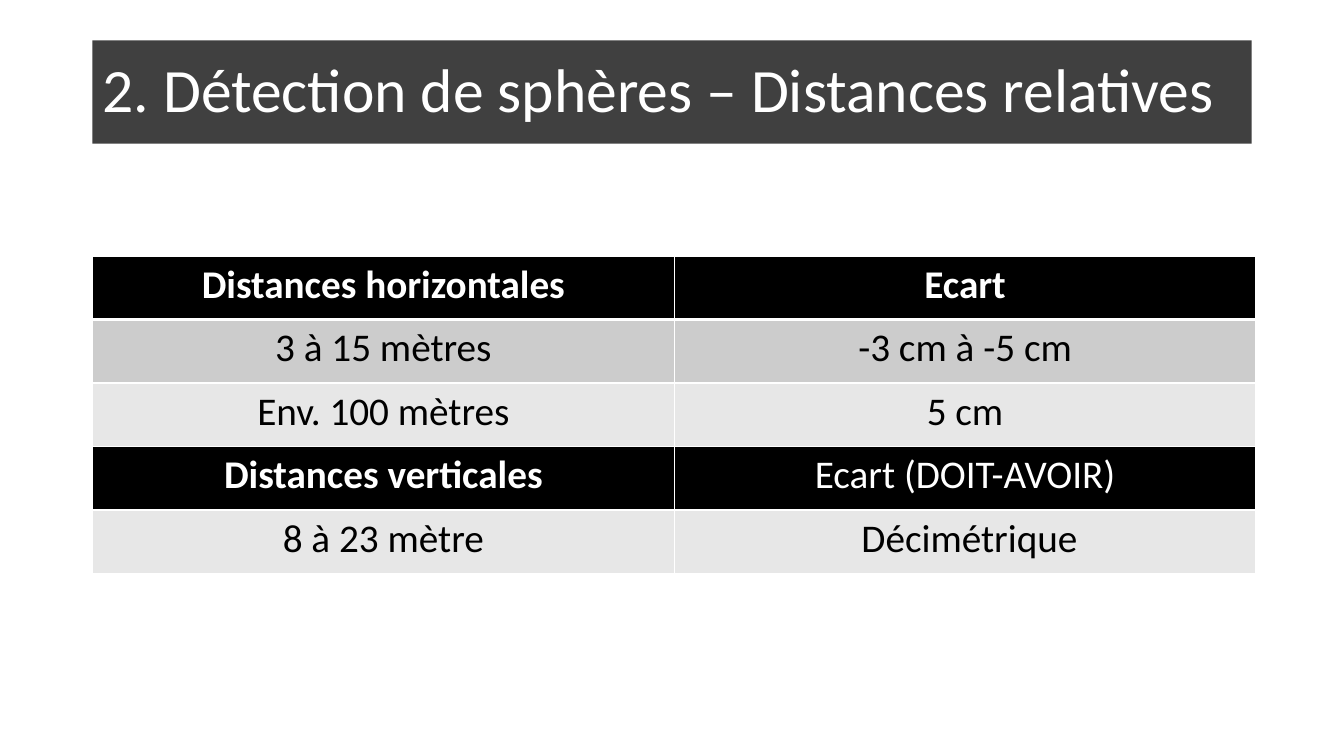
"""Build a slide with a title band and a table of relative distances."""
from dataclasses import dataclass

from lxml import etree
from pptx import Presentation
from pptx import util as u
from pptx.dml import color
from pptx.enum import text
from pptx.oxml import ns


@dataclass(frozen=True)
class Theme:
    font: str = "Calibri"
    white: str = "FFFFFF"
    black: str = "000000"
    band: str = "404040"
    dark: str = "CCCCCC"
    light: str = "E7E7E7"
    title: int = 44
    body: int = 28


theme = Theme()


def style(para, size, tint, bold, align):
    para.alignment = align
    para.font.name = theme.font
    para.font.size = u.Pt(size)
    para.font.bold = bold
    para.font.color.rgb = color.RGBColor.from_string(tint)


def border(cell, side, width):
    props = cell._tc.get_or_add_tcPr()
    line = etree.SubElement(props, ns.qn("a:ln" + side), w=str(u.Pt(width)))
    fill = etree.SubElement(line, ns.qn("a:solidFill"))
    etree.SubElement(fill, ns.qn("a:srgbClr"), val=theme.white)


deck = Presentation()
deck.slide_width, deck.slide_height = u.Cm(33.87), u.Cm(19.05)
slide = deck.slides.add_slide(deck.slide_layouts[5])

title = slide.shapes.title
title.left, title.top = u.Cm(2.33), u.Cm(1.02)
title.width, title.height = u.Cm(29.21), u.Cm(2.6)
title.fill.solid()
title.fill.fore_color.rgb = color.RGBColor.from_string(theme.band)
frame = title.text_frame
frame.text = "2. Détection de sphères – Distances relatives"
frame.word_wrap = True
frame.auto_size = text.MSO_AUTO_SIZE.NONE
frame.vertical_anchor = text.MSO_ANCHOR.MIDDLE
head = frame.paragraphs[0]
style(head, theme.title, theme.white, False, text.PP_ALIGN.LEFT)
head.line_spacing = 0.9

rows = [
    (theme.black, theme.white, ("Distances horizontales", True), ("Ecart", True)),
    (theme.dark, theme.black, ("3 à 15 mètres", False), ("-3 cm à -5 cm", False)),
    (theme.light, theme.black, ("Env. 100 mètres", False), ("5 cm", False)),
    (theme.black, theme.white, ("Distances verticales", True), ("Ecart (DOIT-AVOIR)", False)),
    (theme.light, theme.black, ("8 à 23 mètre", False), (" Décimétrique", False)),
]
table = slide.shapes.add_table(
    len(rows), 2, u.Cm(2.33), u.Cm(6.45), u.Cm(29.32), u.Cm(8)).table

for row, (fill, ink, *cells) in enumerate(rows):
    for col, (words, bold) in enumerate(cells):
        cell = table.cell(row, col)
        cell.text = words
        style(cell.text_frame.paragraphs[0], theme.body, ink, bold, text.PP_ALIGN.CENTER)
        for side in "LRTB":
            thick = (row, side) in [(0, "B"), (1, "T")]
            border(cell, side, 3 if thick else 1)
        cell.fill.solid()
        cell.fill.fore_color.rgb = color.RGBColor.from_string(fill)

deck.save("out.pptx")
